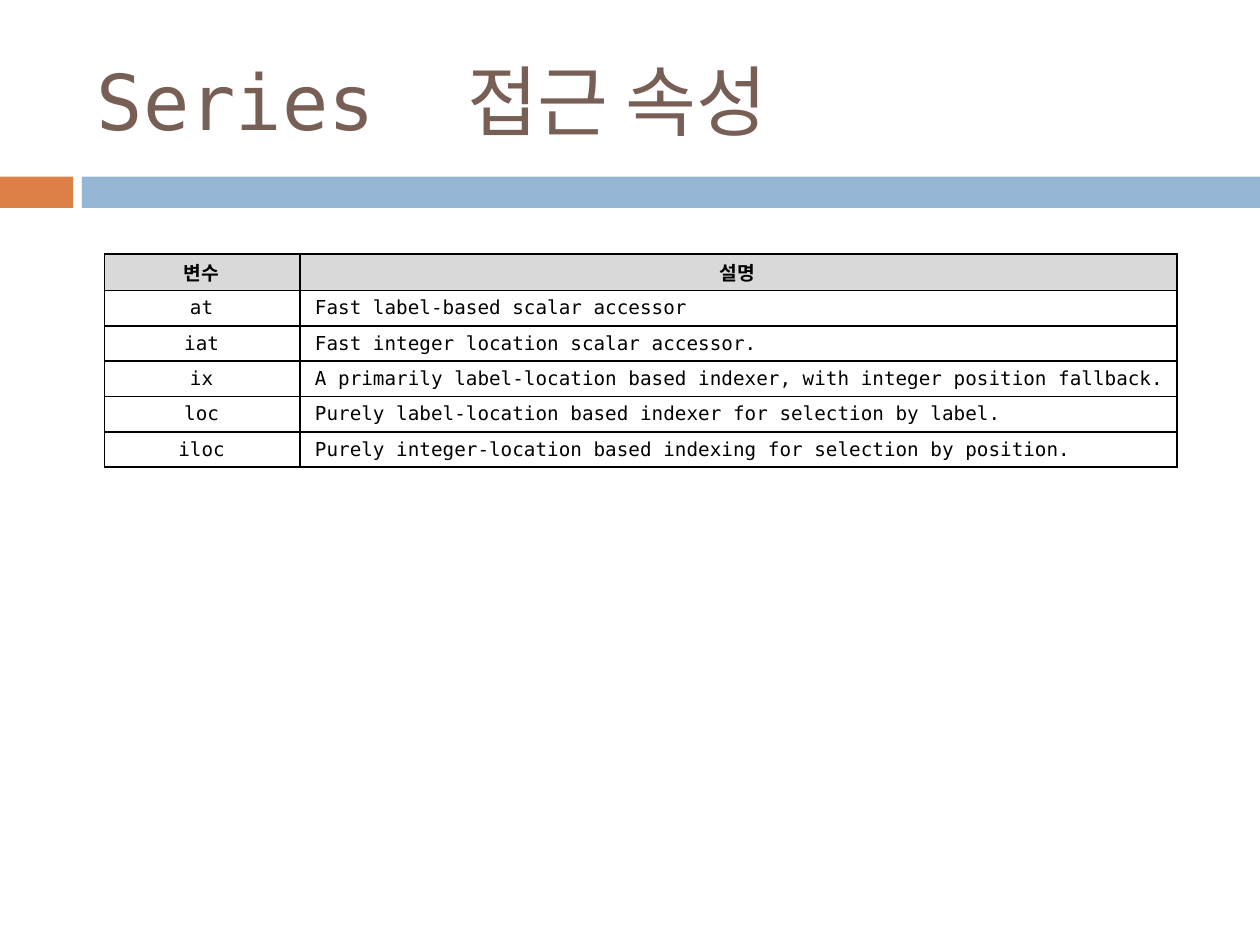
import dataclasses

import lxml.etree
import pptx
import pptx.dml.color
import pptx.enum.shapes
import pptx.enum.text
import pptx.oxml.ns
import pptx.util

WIDTH = pptx.util.Inches(10)
HEIGHT = pptx.util.Inches(7.5)
FONT = "DejaVu Sans Mono"
ALIGN = pptx.enum.text.PP_ALIGN
MIDDLE = pptx.enum.text.MSO_ANCHOR.MIDDLE


@dataclasses.dataclass(frozen=True)
class Box:
    left: float
    top: float
    width: float
    height: float

    def area(self) -> tuple[int, int, int, int]:
        return (int(self.left * WIDTH), int(self.top * HEIGHT),
                int(self.width * WIDTH), int(self.height * HEIGHT))


@dataclasses.dataclass(frozen=True)
class Bar:
    box: Box
    color: str


@dataclasses.dataclass(frozen=True)
class Entry:
    name: str
    text: str


BARS = [
    Bar(Box(0, 0.187, 0.058, 0.033), "DD8047"),
    Bar(Box(0.065, 0.187, 0.935, 0.033), "94B6D2"),
]
TITLE = Box(0.067, 0.033, 0.892, 0.144)
TABLE = Box(0.083, 0.269, 0.851, 0.225)
SHARES = (0.155, 0.696)
HEAD = Entry("변수", "설명")
ENTRIES = [
    Entry("at", "Fast label-based scalar accessor"),
    Entry("iat", "Fast integer location scalar accessor."),
    Entry("ix", "A primarily label-location based indexer, with integer position fallback."),
    Entry("loc", "Purely label-location based indexer for selection by label."),
    Entry("iloc", "Purely integer-location based indexing for selection by position."),
]


def paint(target, color: str) -> None:
    target.solid()
    target.fore_color.rgb = pptx.dml.color.RGBColor.from_string(color)


def style(font, size: float, color: str, bold: bool = False) -> None:
    font.name = FONT
    font.size = pptx.util.Pt(size)
    font.bold = bold
    paint(font.fill, color)


def draw_bar(slide, bar: Bar) -> None:
    shape = slide.shapes.add_shape(pptx.enum.shapes.MSO_SHAPE.RECTANGLE, *bar.box.area())
    shape.shadow.inherit = False
    paint(shape.fill, bar.color)
    shape.line.fill.background()


def draw_title(slide) -> None:
    frame = slide.shapes.add_textbox(*TITLE.area()).text_frame
    frame.word_wrap = True
    frame.vertical_anchor = MIDDLE
    line = frame.paragraphs[0]
    style(line.font, 44, "775F55")
    for text in ("Series", " ", "접근 속성"):
        run = line.add_run()
        run.text = text
        if text == " ":
            run.font._element.set("spc", "2600")


def add_edges(cell) -> None:
    props = cell._tc.get_or_add_tcPr()
    for spot, side in enumerate(("lnL", "lnR", "lnT", "lnB")):
        edge = lxml.etree.Element(pptx.oxml.ns.qn(f"a:{side}"), w=str(pptx.util.Pt(1)))
        fill = lxml.etree.SubElement(edge, pptx.oxml.ns.qn("a:solidFill"))
        lxml.etree.SubElement(fill, pptx.oxml.ns.qn("a:srgbClr"), val="000000")
        props.insert(spot, edge)


def fill_cell(cell, text: str, head: bool, center: bool) -> None:
    cell.text = text
    cell.vertical_anchor = MIDDLE
    cell.margin_left = pptx.util.Inches(0.03 if center else 0.12)
    cell.margin_right = pptx.util.Inches(0.04)
    cell.margin_top = cell.margin_bottom = pptx.util.Inches(0.01)
    line = cell.text_frame.paragraphs[0]
    line.alignment = ALIGN.CENTER if center else ALIGN.LEFT
    style(line.font, 11, "000000", head)
    cell.fill.solid()
    paint(cell.fill, "D9D9D9" if head else "FFFFFF")
    add_edges(cell)


def draw_table(slide) -> None:
    rows = [HEAD, *ENTRIES]
    table = slide.shapes.add_table(len(rows), len(SHARES), *TABLE.area()).table
    for column, share in zip(table.columns, SHARES):
        column.width = int(share * WIDTH)
    for index, entry in enumerate(rows):
        head = index == 0
        table.rows[index].height = pptx.util.Inches(0.29 if head else 0.28)
        fill_cell(table.cell(index, 0), entry.name, head, True)
        fill_cell(table.cell(index, 1), entry.text, head, head)


def main() -> None:
    deck = pptx.Presentation()
    deck.slide_width, deck.slide_height = WIDTH, HEIGHT
    slide = deck.slides.add_slide(deck.slide_layouts[6])
    for bar in BARS:
        draw_bar(slide, bar)
    draw_title(slide)
    draw_table(slide)
    deck.save("out.pptx")


if __name__ == "__main__":
    main()
